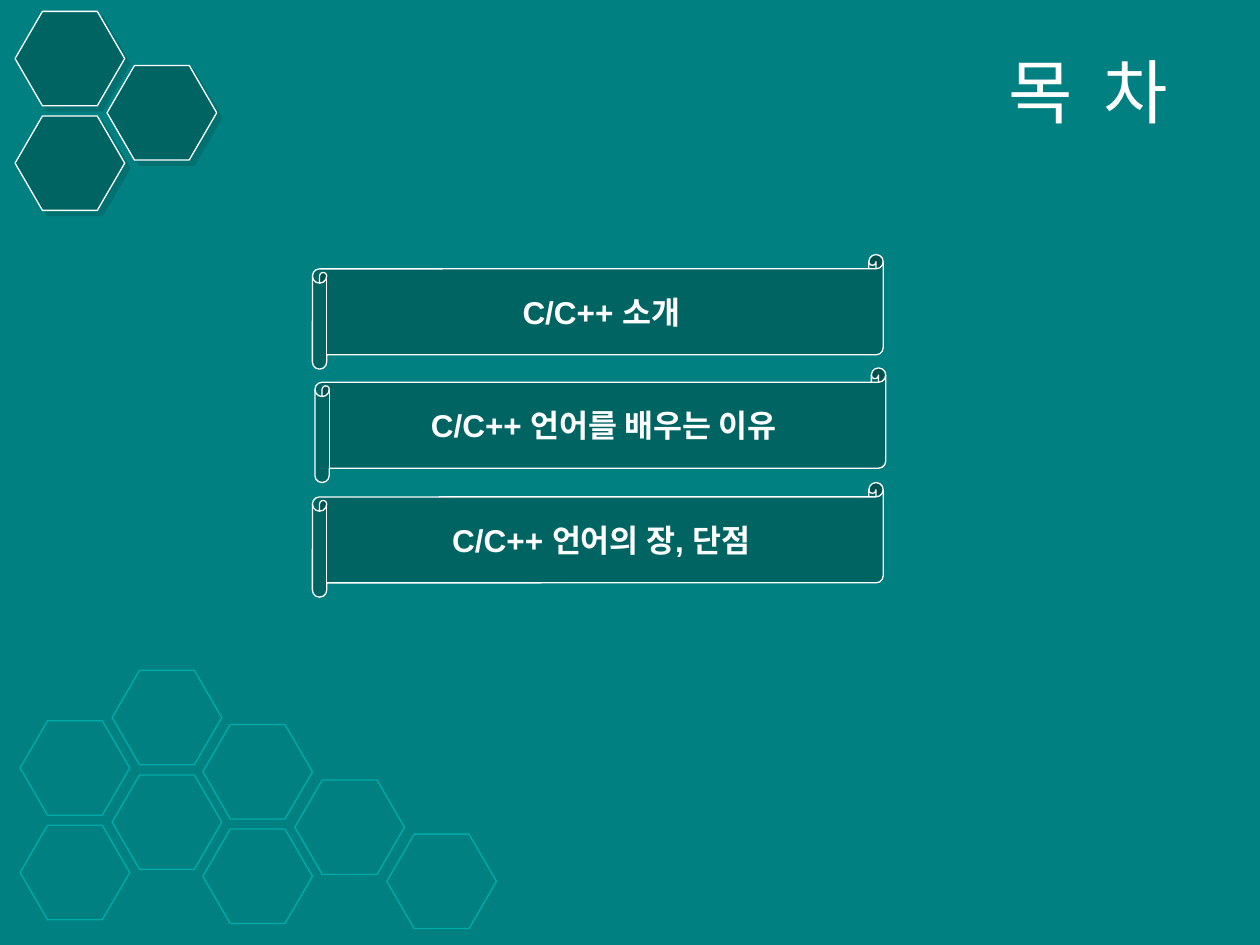
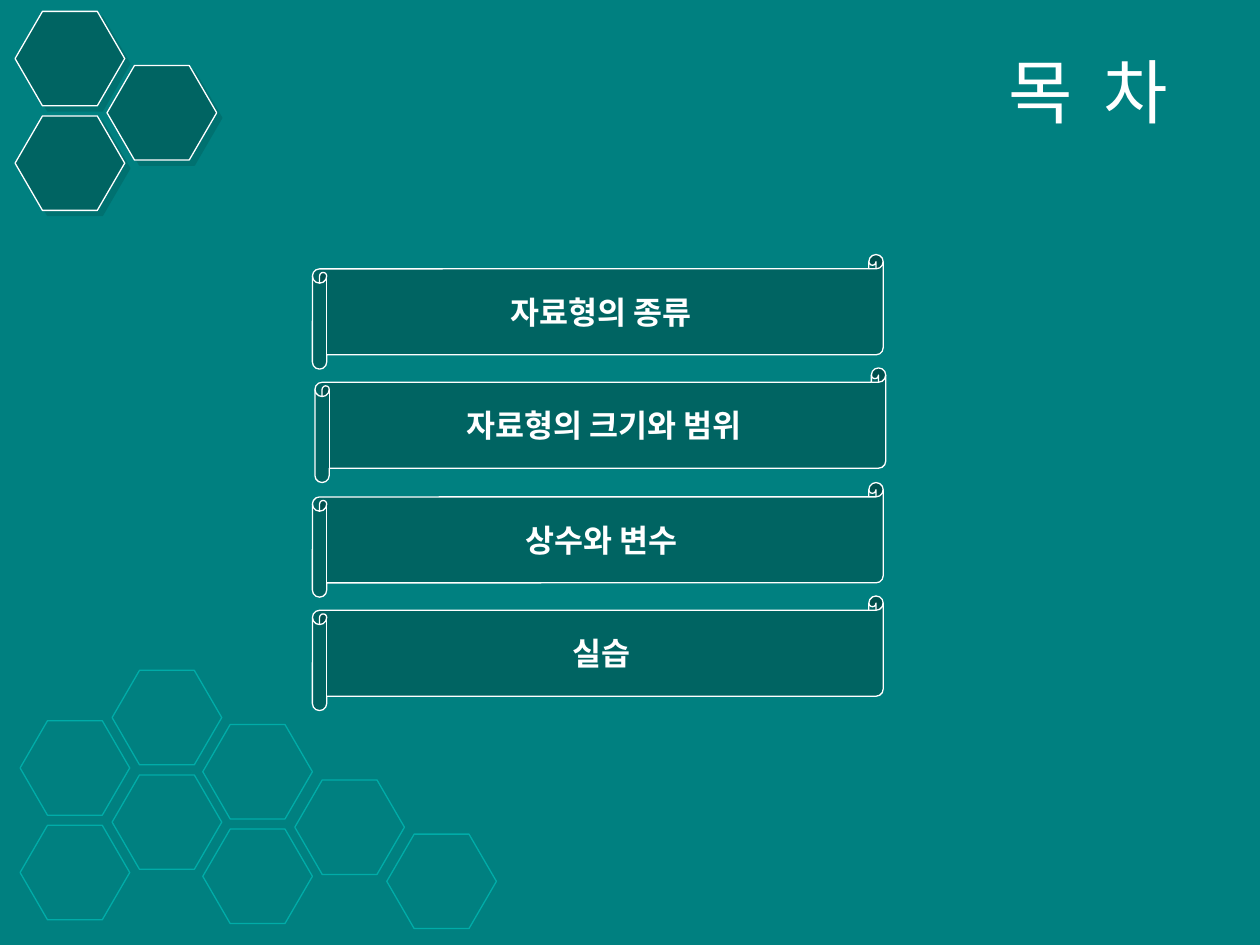
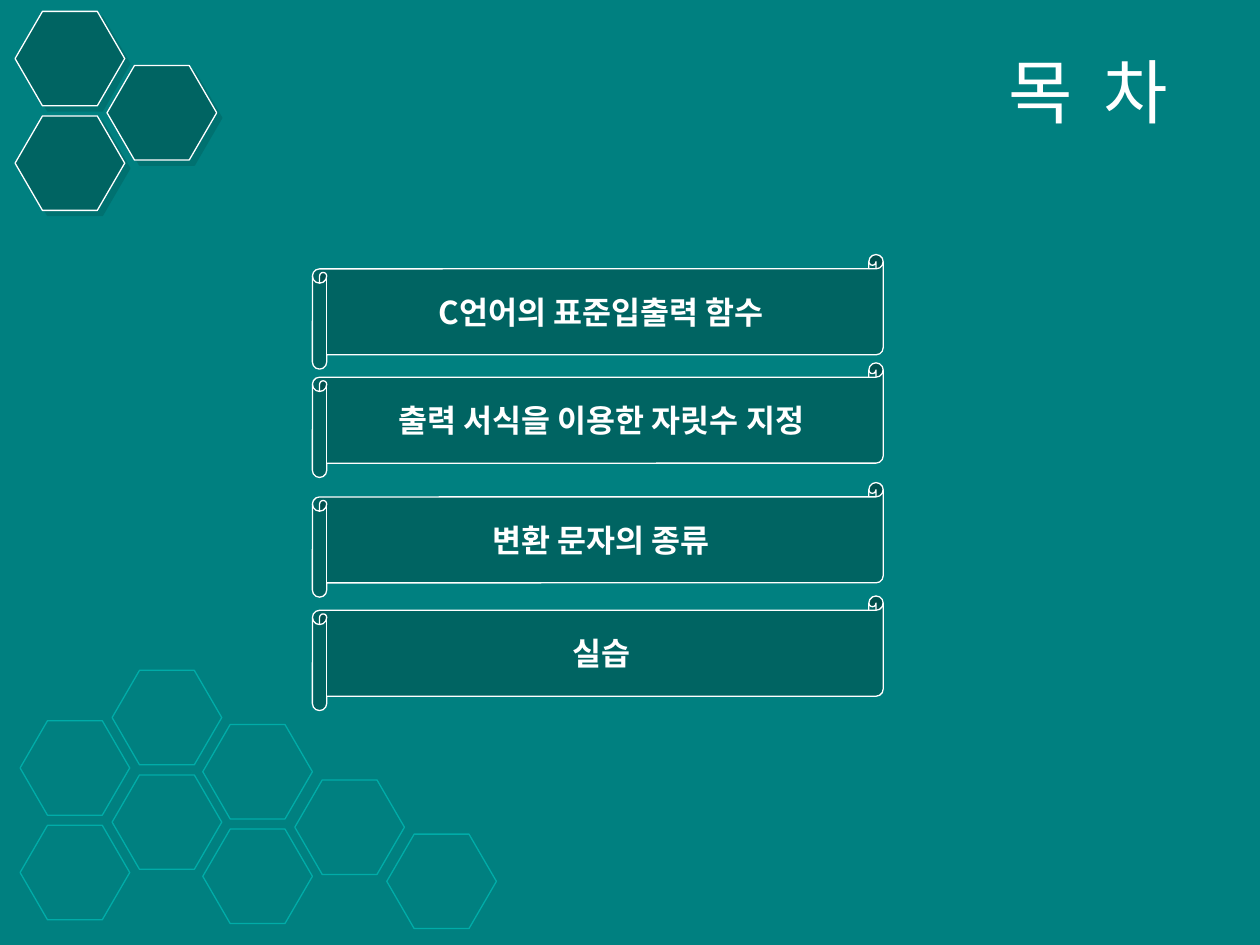
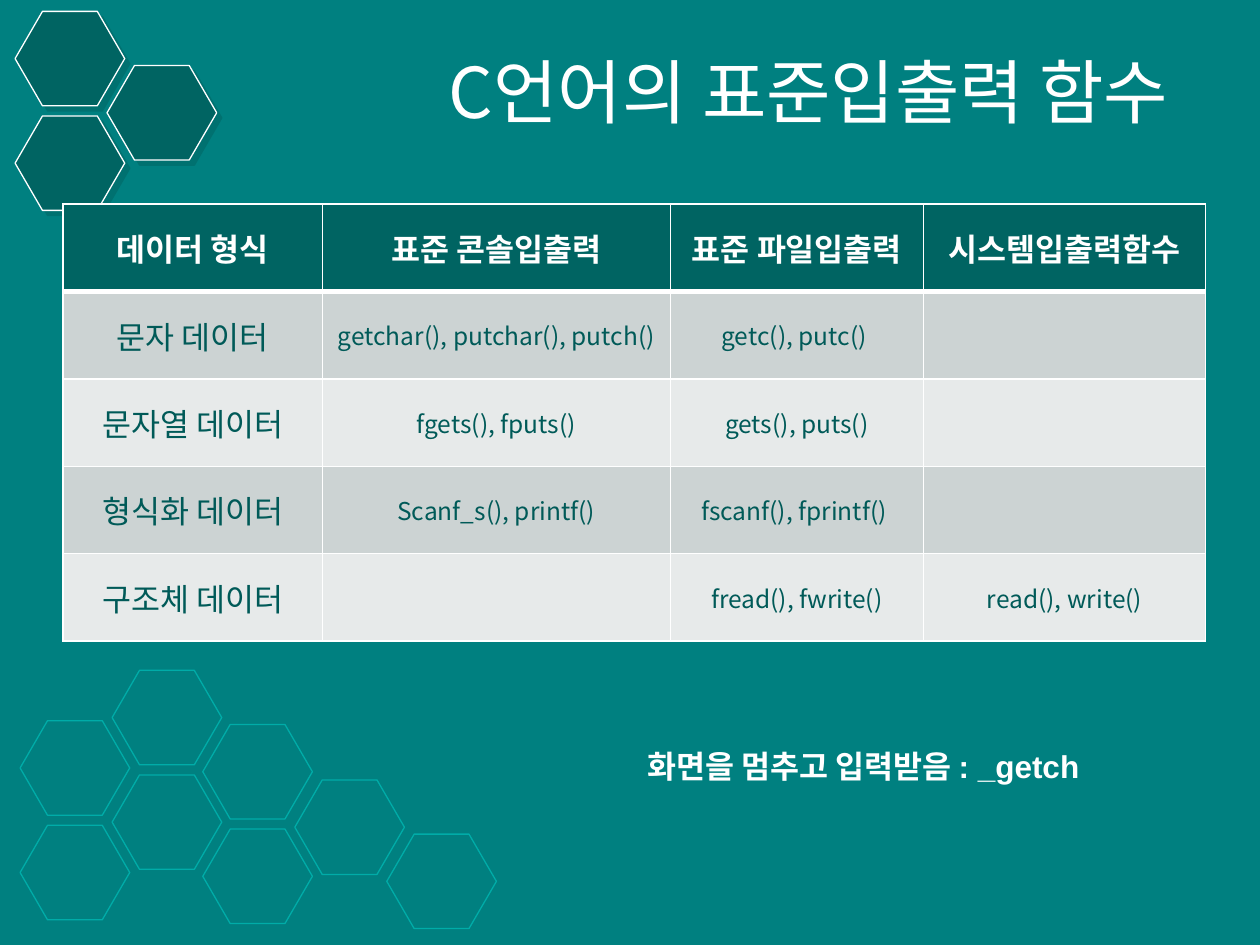
"""Build four slides on C input and output: three agendas and one function table."""
from lxml.etree import SubElement
from pptx import Presentation
from pptx.dml.color import RGBColor
from pptx.enum.shapes import MSO_SHAPE
from pptx.enum.text import MSO_ANCHOR, MSO_AUTO_SIZE, PP_ALIGN
from pptx.oxml import parse_xml
from pptx.oxml.ns import nsdecls, qn
from pptx.util import Inches, Pt

TEAL, DARK_TEAL, BRIGHT_TEAL = "008080", "006462", "00ACA8"
TABLE_TEXT, WHITE = "005A58", "FFFFFF"
BAND_COLORS = ["E7EAEA", "CCD3D3"]
KOREAN, LATIN = "Noto Sans CJK KR", "Arial"


def color(value):
    return RGBColor.from_string(value)


def write(frame, text, size=18, font=KOREAN, ink=WHITE, bold=False, align=PP_ALIGN.CENTER):
    paragraph = frame.paragraphs[0]
    paragraph.alignment = align
    run = paragraph.add_run()
    run.text = text
    run.font.size = Pt(size)
    run.font.name = font
    run.font.bold = bold
    run.font.color.rgb = color(ink)
    SubElement(run.font._element, qn("a:ea")).set("typeface", KOREAN)


presentation = Presentation()
presentation.slide_width, presentation.slide_height = Inches(10), Inches(7.5)
master = presentation.slide_master
master.background.fill.solid()
master.background.fill.fore_color.rgb = color(TEAL)

pages = [
    ("목  차", LATIN, LATIN, [
        ("C/C++ 소개", 2.48, 2.02),
        ("C/C++ 언어를 배우는 이유", 2.5, 2.92),
        ("C/C++ 언어의 장, 단점", 2.48, 3.83),
    ]),
    ("목  차", LATIN, KOREAN, [
        ("자료형의 종류", 2.48, 2.02),
        ("자료형의 크기와 범위", 2.5, 2.92),
        ("상수와 변수", 2.48, 3.83),
        ("실습", 2.48, 4.73),
    ]),
    ("목  차", LATIN, KOREAN, [
        ("C언어의 표준입출력 함수", 2.48, 2.02),
        ("출력 서식을 이용한 자릿수 지정", 2.48, 2.88),
        ("변환 문자의 종류", 2.48, 3.83),
        ("실습", 2.48, 4.73),
    ]),
    ("C언어의 표준입출력 함수", KOREAN, KOREAN, []),
]
for title, title_font, item_font, items in pages:
    slide = presentation.slides.add_slide(presentation.slide_layouts[6])
    title_box = slide.shapes.add_textbox(Inches(1.85), Inches(0.28), Inches(7.52), Inches(0.87))
    title_box.text_frame.word_wrap = True
    title_box.text_frame.vertical_anchor = MSO_ANCHOR.MIDDLE
    write(title_box.text_frame, title, size=40, font=title_font, align=PP_ALIGN.RIGHT)
    for item, left, top in items:
        scroll = slide.shapes.add_shape(
            MSO_SHAPE.HORIZONTAL_SCROLL, Inches(left), Inches(top), Inches(4.53), Inches(0.91))
        scroll.shadow.inherit = False
        scroll.fill.solid()
        scroll.fill.fore_color.rgb = color(DARK_TEAL)
        scroll.line.color.rgb = color(WHITE)
        scroll.line.width = Pt(0.75)
        scroll.text_frame.vertical_anchor = MSO_ANCHOR.MIDDLE
        write(scroll.text_frame, item, font=item_font, bold=True)

outlined_columns = [(0.16, 5.72, 2), (0.89, 5.32, 2), (1.61, 5.75, 2), (2.34, 6.19, 1), (3.07, 6.62, 1)]
filled_columns = [(0.12, 0.09, 2), (0.85, 0.52, 1)]
for columns, filled in [(outlined_columns, False), (filled_columns, True)]:
    honeycomb = slide.shapes.add_group_shape()
    for left, top, count in columns:
        for row in range(count):
            hexagon = honeycomb.shapes.add_shape(
                MSO_SHAPE.HEXAGON, Inches(left), Inches(top + 0.83 * row), Inches(0.87), Inches(0.75))
            hexagon.adjustments[0] = 0.29
            hexagon.shadow.inherit = False
            hexagon.line.width = Pt(0.75)
            hexagon.line.color.rgb = color(WHITE if filled else BRIGHT_TEAL)
            if not filled:
                hexagon.fill.background()
                continue
            hexagon.fill.solid()
            hexagon.fill.fore_color.rgb = color(DARK_TEAL)
            hexagon.element.spPr.find(qn("a:effectLst")).append(parse_xml(
                f'<a:outerShdw {nsdecls("a")} dist="{Pt(4.2)}" dir="2700000" algn="ctr" rotWithShape="0">'
                f'<a:srgbClr val="{DARK_TEAL}"><a:alpha val="50000"/></a:srgbClr></a:outerShdw>'))
    master.shapes.element.append(honeycomb.element)

functions = [
    ["데이터 형식", "표준 콘솔입출력", "표준 파일입출력", "시스템입출력함수"],
    ["문자 데이터", "getchar(), putchar(), putch()", "getc(), putc() ", ""],
    ["문자열 데이터", "fgets(), fputs()", "gets(), puts()", ""],
    ["형식화 데이터", "Scanf_s(), printf()", "fscanf(), fprintf() ", ""],
    ["구조체 데이터", "", "fread(), fwrite()", "read(), write()"],
]
table = slide.shapes.add_table(
    len(functions), len(functions[0]), Inches(0.5), Inches(1.62), Inches(9.07), Inches(3.47)).table
for column, width in zip(table.columns, [2.06, 2.76, 2.01, 2.24]):
    column.width = Inches(width)
for row_index, texts in enumerate(functions):
    header = row_index == 0
    for column_index, text in enumerate(texts):
        cell = table.cell(row_index, column_index)
        cell.vertical_anchor = MSO_ANCHOR.MIDDLE
        cell.fill.solid()
        cell.fill.fore_color.rgb = color(DARK_TEAL if header else BAND_COLORS[row_index % 2])
        if text:
            write(cell.text_frame, text, size=18 if header or column_index == 0 else 14,
                  ink=WHITE if header else TABLE_TEXT, bold=header)
        properties = cell._tc.get_or_add_tcPr()
        for position, side in enumerate("LRTB"):
            thick = (row_index, side) in [(0, "B"), (1, "T")]
            properties.insert(position, parse_xml(
                f'<a:ln{side} {nsdecls("a")} w="{Pt(3 if thick else 1)}">'
                f'<a:solidFill><a:srgbClr val="{WHITE}"/></a:solidFill></a:ln{side}>'))

note = slide.shapes.add_textbox(Inches(5.04), Inches(5.88), Inches(3.9), Inches(0.4))
note.text_frame.word_wrap = False
note.text_frame.auto_size = MSO_AUTO_SIZE.SHAPE_TO_FIT_TEXT
write(note.text_frame, "화면을 멈추고 입력받음 : _getch", font=LATIN, bold=True, align=PP_ALIGN.LEFT)

presentation.save("out.pptx")
